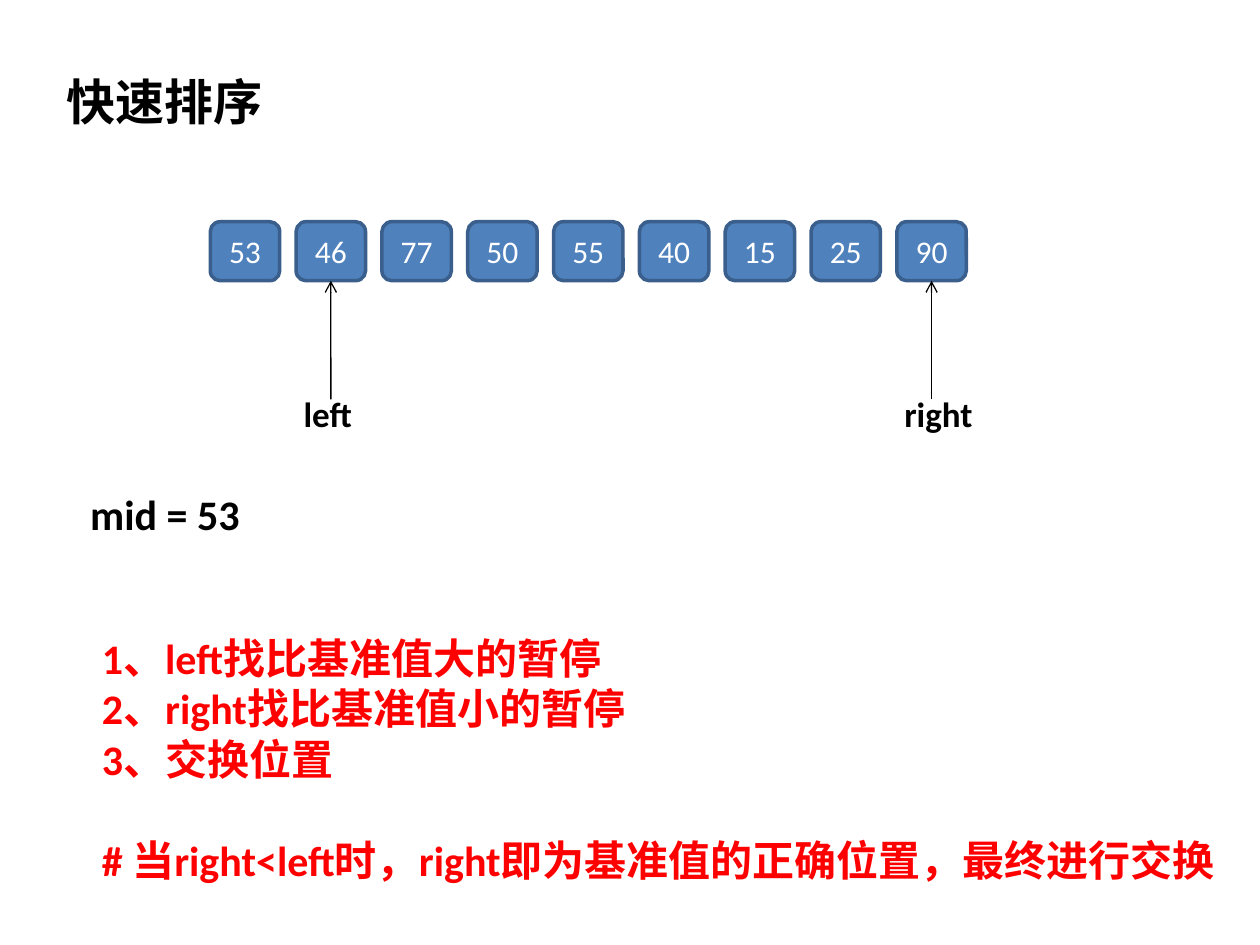
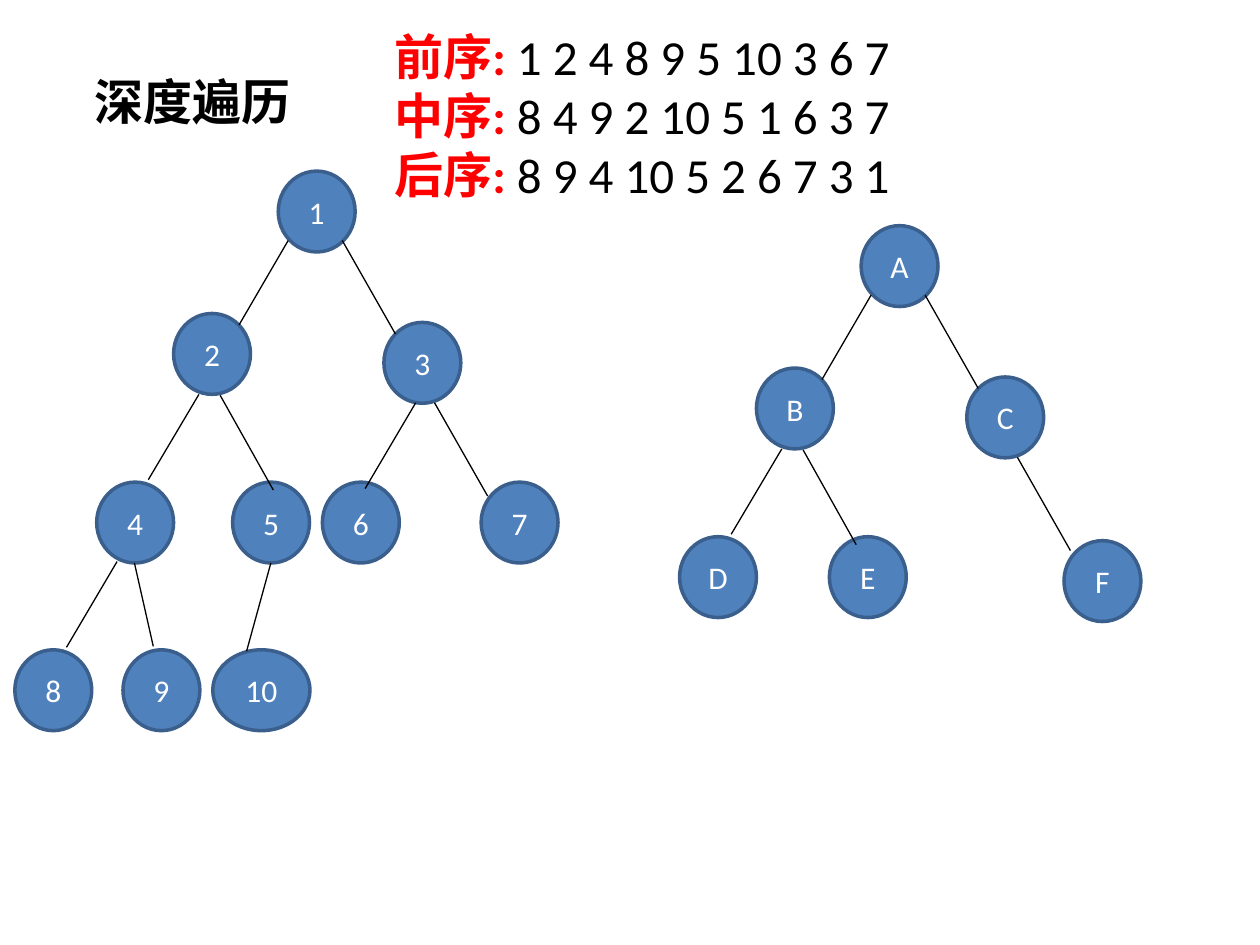
from dataclasses import dataclass

from lxml.etree import SubElement
from pptx import Presentation
from pptx.dml.color import RGBColor
from pptx.enum.shapes import MSO_CONNECTOR, MSO_SHAPE
from pptx.enum.text import MSO_ANCHOR, MSO_AUTO_SIZE, PP_ALIGN
from pptx.oxml.ns import qn
from pptx.util import Cm, Pt


@dataclass(frozen=True)
class Theme:
    font: str = "Calibri"
    ink: RGBColor = RGBColor(0, 0, 0)
    alert: RGBColor = RGBColor(255, 0, 0)
    light: RGBColor = RGBColor(255, 255, 255)
    fill: RGBColor = RGBColor(0x4F, 0x81, 0xBD)
    edge: RGBColor = RGBColor(0x3A, 0x5F, 0x8C)
    head: int = 28
    body: int = 24
    label: int = 20
    node: int = 18


THEME = Theme()

SPOTS = {
    1: (5.31, 0), 2: (3.2, 2.87), 3: (7.44, 3.05),
    4: (1.65, 6.27), 5: (4.39, 6.27), 6: (6.2, 6.27), 7: (9.4, 6.27),
    8: (0, 9.65), 9: (2.18, 9.65), 10: (3.99, 9.65),
}
LINKS = {
    2: (5.51, 1.4, 4.52, 3.1),
    3: (6.6, 1.4, 7.67, 3.28),
    4: (3.71, 4.5, 2.69, 6.22),
    5: (4.14, 4.52, 5.21, 6.43),
    6: (8.08, 4.67, 7.06, 6.4),
    7: (8.46, 4.67, 9.53, 6.55),
    8: (2.06, 7.87, 1.04, 9.6),
    9: (2.41, 7.9, 2.79, 9.58),
    10: (5.16, 7.9, 4.67, 9.68),
}


def write(par, text, size=THEME.body, color=THEME.ink, bold=True,
          align=PP_ALIGN.LEFT, before=0):
    par.alignment = align
    par.space_before = Pt(before)
    run = par.add_run()
    run.text = text
    font = run.font
    font.name, font.size, font.bold = THEME.font, Pt(size), bold
    font.color.rgb = color


def place(shape, box):
    shape.left, shape.top, shape.width, shape.height = map(Cm, box)
    frame = shape.text_frame
    frame.word_wrap = True
    frame.auto_size = MSO_AUTO_SIZE.NONE
    frame.vertical_anchor = MSO_ANCHOR.TOP
    return frame


def label(slide, box, text, size):
    frame = place(slide.shapes.add_textbox(0, 0, 0, 0), box)
    write(frame.paragraphs[0], text, size=size)


def start(deck, title, left):
    slide = deck.slides.add_slide(deck.slide_layouts[1])
    frame = place(slide.shapes.title, (left, 1.32, 5, 1.45))
    write(frame.paragraphs[0], title, size=THEME.head)
    return slide


def fill_list(slide, box, rows):
    frame = place(slide.placeholders[1], box)
    for i, (runs, form) in enumerate(rows):
        par = frame.add_paragraph() if i else frame.paragraphs[0]
        for text, look in runs:
            write(par, text, **form, **look)
        props = par._p.get_or_add_pPr()
        props.set("marL", "0")
        props.set("indent", "0")
        SubElement(props, qn("a:buNone"))


def node(slide, kind, box, text):
    shape = slide.shapes.add_shape(kind, *map(Cm, box))
    shape.shadow.inherit = False
    shape.fill.solid()
    shape.fill.fore_color.rgb = THEME.fill
    shape.line.color.rgb = THEME.edge
    shape.line.width = Pt(2)
    frame = shape.text_frame
    frame.margin_left = frame.margin_right = 0
    frame.vertical_anchor = MSO_ANCHOR.MIDDLE
    write(frame.paragraphs[0], text, size=THEME.node, color=THEME.light,
          bold=False, align=PP_ALIGN.CENTER)
    return shape


def link(slide, ends, goal=None):
    line = slide.shapes.add_connector(MSO_CONNECTOR.STRAIGHT, *map(Cm, ends))
    line.line.color.rgb = THEME.ink
    line.line.width = Pt(0.75)
    props = line.element.spPr
    if goal is not None:
        line.end_connect(goal, 2)
        SubElement(props.find(qn("a:ln")), qn("a:tailEnd"), type="arrow")
    SubElement(props, qn("a:effectLst"))


def array(slide, left, top, values, marks):
    wide, high, step = 1.4, 1.19, 1.73
    cells = [
        node(slide, MSO_SHAPE.ROUNDED_RECTANGLE,
             (left + i * step, top, wide, high), str(value))
        for i, value in enumerate(values)
    ]
    for i, text in marks.items():
        mid = left + i * step + wide / 2
        link(slide, (mid, top + 3.58, mid, top + high), cells[i])
        label(slide, (mid - 0.8, top + 3.31, 2.1, 1.12), text, THEME.label)


def tree(slide, left, top, names, shifts):
    for key, name in names.items():
        x, y = SPOTS[key]
        dx, dy = shifts.get(key, (0, 0))
        wide = 1.96 if len(name) > 1 else 1.55
        node(slide, MSO_SHAPE.OVAL,
             (left + x + dx, top + y + dy, wide, 1.63), name)
    for key in names:
        if key in LINKS:
            x1, y1, x2, y2 = LINKS[key]
            link(slide, (left + x1, top + y1, left + x2, top + y2))


def sort_slide(deck):
    slide = start(deck, "快速排序", 1.09)
    array(slide, 4.24, 4.47, (53, 46, 77, 50, 55, 40, 15, 25, 90),
          {1: "left", 8: "right"})
    label(slide, (1.57, 9.73, 4, 1.27), "mid = 53", THEME.body)
    red = {"color": THEME.alert}
    steps = ("1、left找比基准值大的暂停", "2、right找比基准值小的暂停", "3、交换位置")
    rows = [([(step, red)], {}) for step in steps]
    note = "# 当right<left时，right即为基准值的正确位置，最终进行交换"
    rows.append(([(note, red)], {"before": 29}))
    fill_list(slide, (1.8, 12.62, 23.29, 5.38), rows)


def walk_slide(deck):
    slide = start(deck, "深度遍历", 1.65)
    orders = {
        "前序: ": "1 2 4 8 9 5 10 3 6 7",
        "中序: ": "8 4 9 2 10 5 1 6 3 7",
        "后序: ": "8 9 4 10 5 2 6 7 3 1",
    }
    rows = [
        ([(name, {"color": THEME.alert}), (order, {"bold": False})],
         {"size": THEME.head})
        for name, order in orders.items()
    ]
    fill_list(slide, (7.7, 0.41, 17.6, 3.84), rows)
    tree(slide, 0.3, 3.45, {key: str(key) for key in SPOTS}, {})
    tree(slide, 12.05, 4.55, dict(zip((1, 2, 3, 4, 5, 7), "ABCDEF")),
         {5: (0.28, 0), 7: (0, 0.08)})


def main():
    deck = Presentation()
    deck.slide_width, deck.slide_height = Cm(25.4), Cm(19.05)
    sort_slide(deck)
    walk_slide(deck)
    deck.save("out.pptx")


if __name__ == "__main__":
    main()
